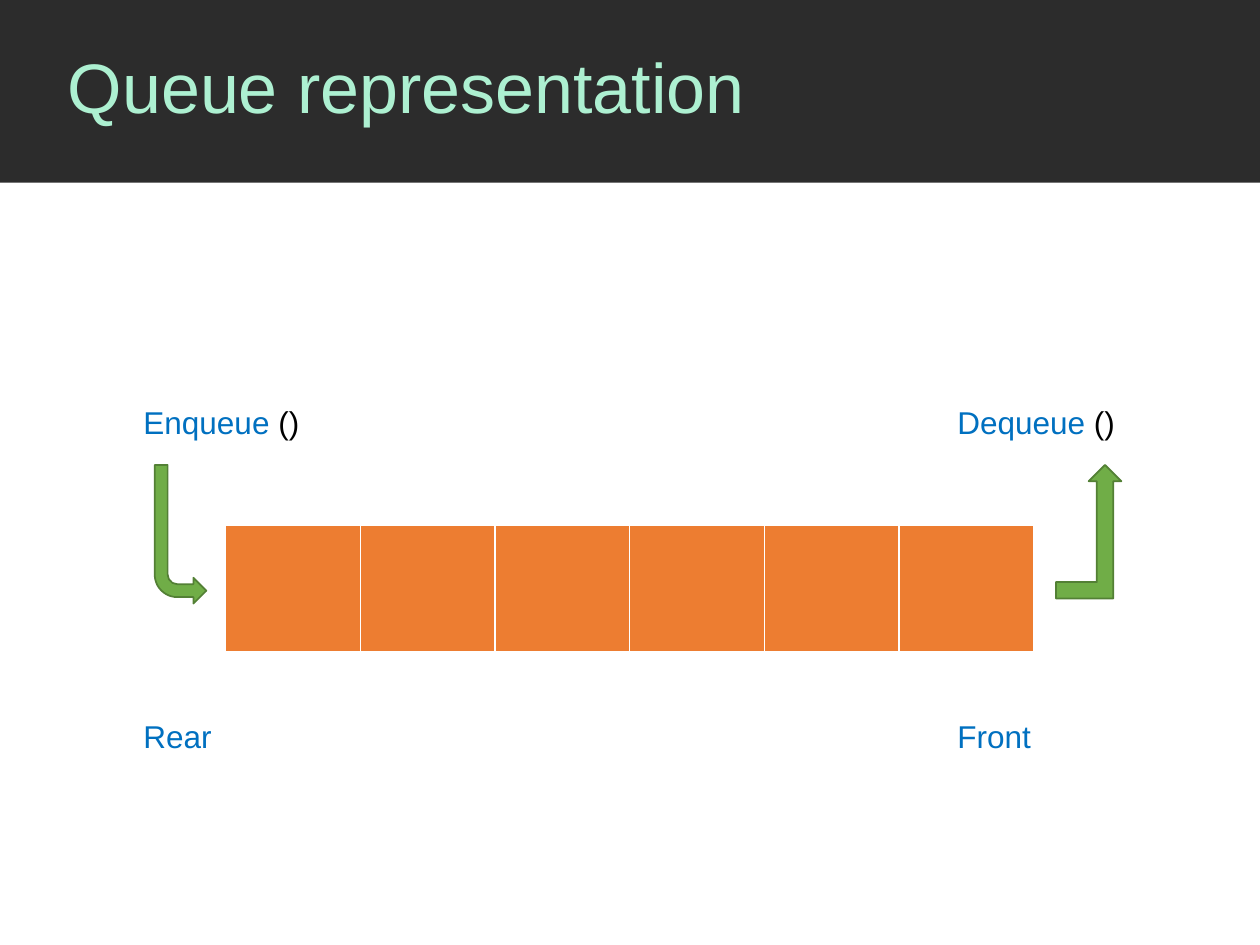
import pptx
import pptx.dml.color
import pptx.enum.shapes
import pptx.enum.text
import pptx.oxml.ns
import pptx.util
from lxml import etree

Pt = pptx.util.Pt
Shapes = pptx.enum.shapes.MSO_SHAPE
BLUE = "0070C0"
BLACK = "000000"
ORANGE = "ED7D31"
WHITE = "FFFFFF"


def color(value):
    return pptx.dml.color.RGBColor.from_string(value)


def add_shape(slide, kind, left, top, width, height, fill, line=None):
    shape = slide.shapes.add_shape(kind, Pt(left), Pt(top), Pt(width), Pt(height))
    shape.shadow.inherit = False
    shape.fill.solid()
    shape.fill.fore_color.rgb = color(fill)
    if line:
        shape.line.color.rgb = color(line)
        shape.line.width = Pt(1)
    else:
        shape.line.fill.background()
    return shape


def add_text(slide, left, top, width, height, runs, size=18):
    box = slide.shapes.add_textbox(Pt(left), Pt(top), Pt(width), Pt(height))
    frame = box.text_frame
    frame.word_wrap = True
    frame.vertical_anchor = pptx.enum.text.MSO_ANCHOR.TOP
    for text, value in runs:
        run = frame.paragraphs[0].add_run()
        run.text = text
        run.font.name = "Arial"
        run.font.size = Pt(size)
        run.font.color.rgb = color(value)
    return frame


def add_border(properties, side, width):
    line = etree.SubElement(properties, pptx.oxml.ns.qn(f"a:ln{side}"), w=str(Pt(width)))
    fill = etree.SubElement(line, pptx.oxml.ns.qn("a:solidFill"))
    etree.SubElement(fill, pptx.oxml.ns.qn("a:srgbClr"), val=WHITE)


def add_queue(slide, left, top, cell_width, height, count):
    frame = slide.shapes.add_table(
        1, count, Pt(left), Pt(top), Pt(cell_width * count), Pt(height)
    )
    table = frame.table
    table.first_row = False
    table.horz_banding = False
    for column in table.columns:
        column.width = Pt(cell_width)
    for cell in table.iter_cells():
        properties = cell._tc.get_or_add_tcPr()
        for side, width in (("L", 1), ("R", 1), ("T", 1), ("B", 3)):
            add_border(properties, side, width)
        cell.fill.solid()
        cell.fill.fore_color.rgb = color(ORANGE)


def add_arrow(slide, kind, left, top, width, height):
    return add_shape(slide, kind, left, top, width, height, "70AD47", "538035")


def main():
    presentation = pptx.Presentation()
    presentation.slide_width = Pt(720)
    presentation.slide_height = Pt(540)
    slide = presentation.slides.add_slide(presentation.slide_layouts[6])

    add_shape(slide, Shapes.RECTANGLE, 0, 0, 720, 104.4, "2C2C2C")
    title = add_text(
        slide, 31.7, 0, 688.3, 103.7, [("Queue representation", "ADF0D1")], 40
    )
    title.vertical_anchor = pptx.enum.text.MSO_ANCHOR.MIDDLE
    title.paragraphs[0].line_spacing = 0.9

    add_queue(slide, 128.9, 300.4, 77, 72.7, 6)

    rear_left, front_left = 74.9, 540
    operation_top, end_top = 226.8, 406.1
    add_text(slide, rear_left, operation_top, 156, 29, [("Enqueue ", BLUE), ("()", BLACK)])
    add_text(slide, front_left, operation_top, 105, 29, [("Dequeue ", BLUE), ("()", BLACK)])
    add_text(slide, rear_left, end_top, 55.5, 29, [("Rear", BLUE)])
    add_text(slide, front_left, end_top, 63.4, 29, [("Front", BLUE)])

    enqueue_arrow = add_arrow(slide, Shapes.BENT_ARROW, 88.4, 265.7, 29.5, 79.2)
    enqueue_arrow.rotation = 180
    enqueue_arrow._element.spPr.xfrm.set("flipH", "1")
    add_arrow(slide, Shapes.BENT_UP_ARROW, 603.4, 265.7, 37.4, 76.3)

    presentation.save("out.pptx")


if __name__ == "__main__":
    main()
